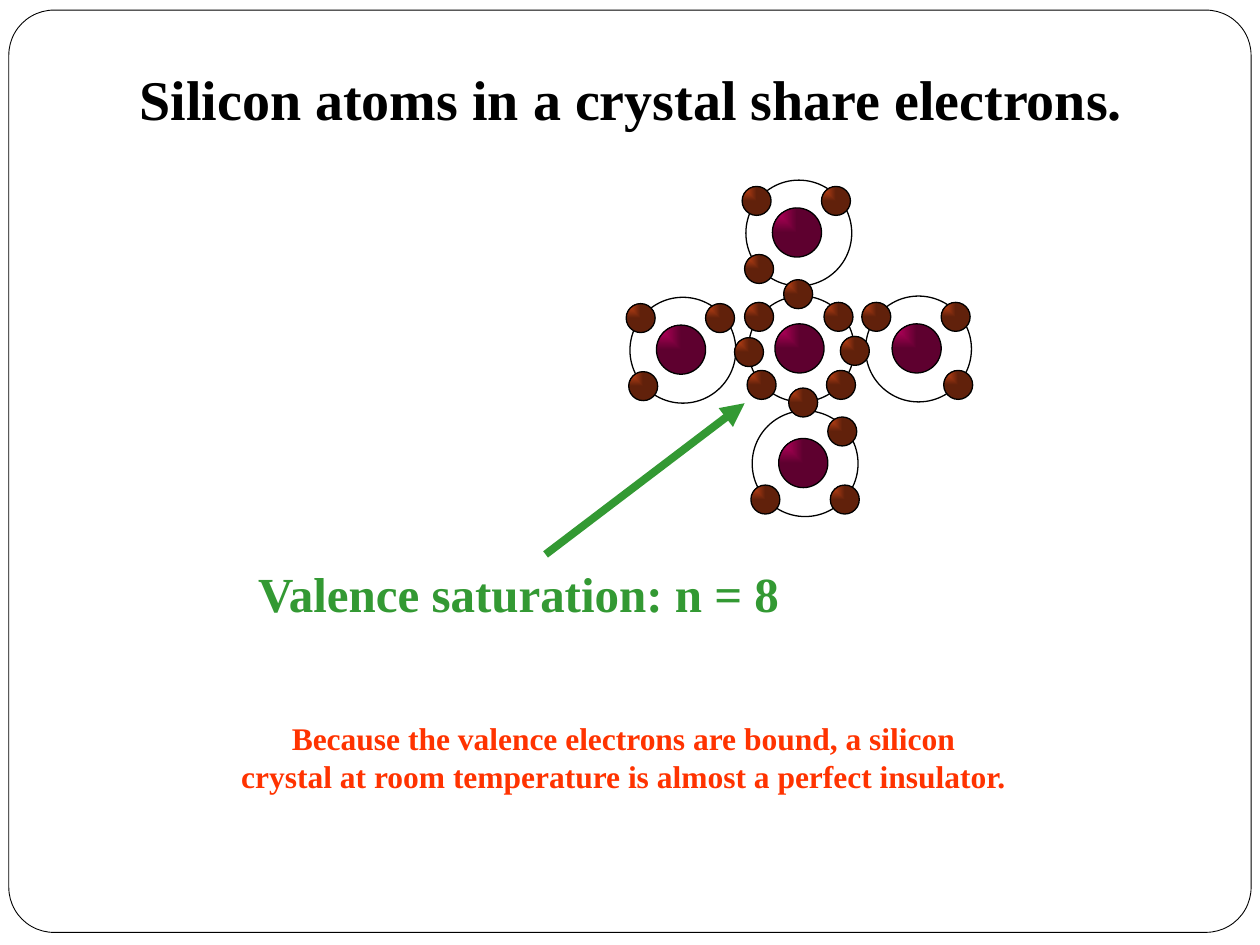
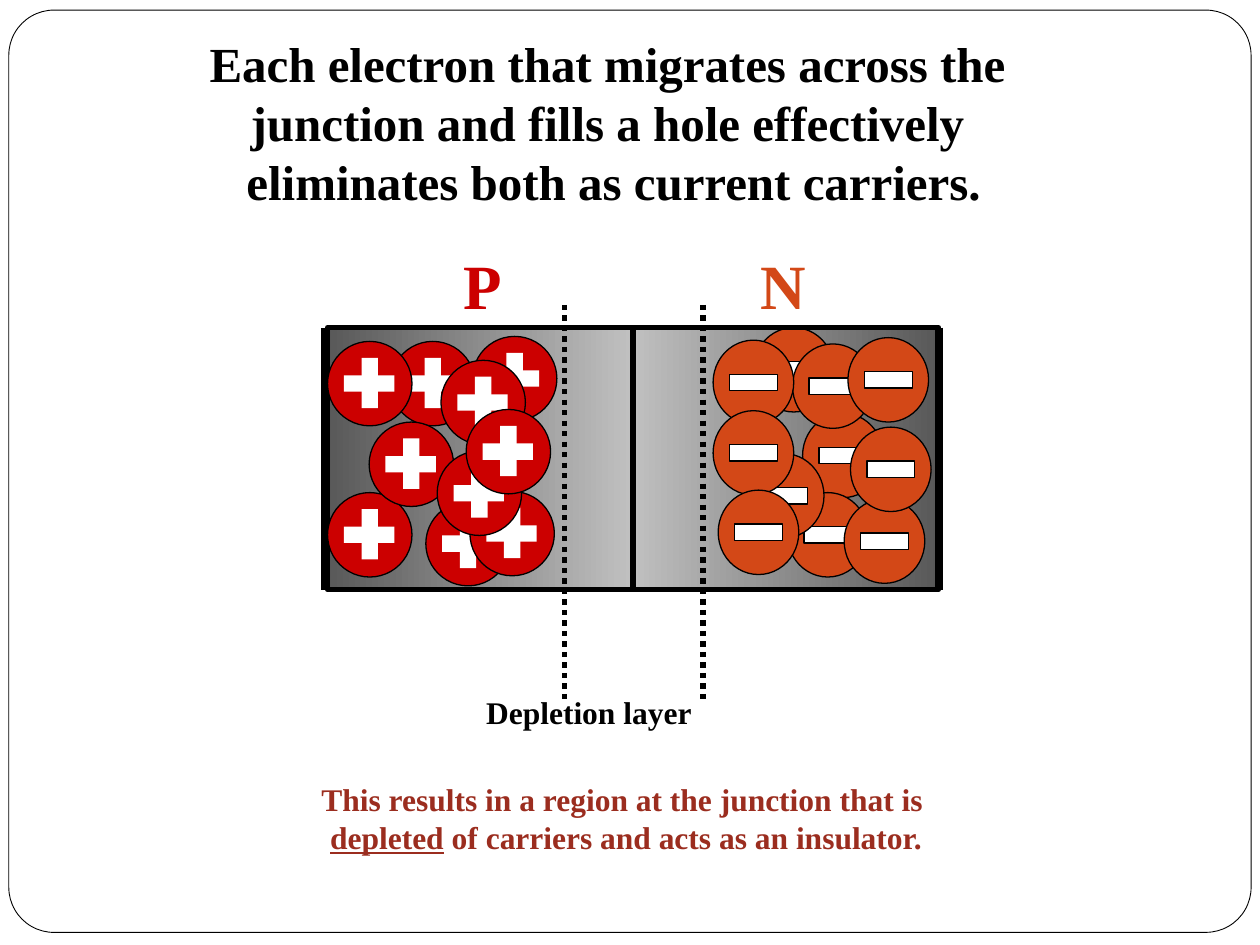
"""Two slides on silicon bonds and the depletion layer of a P-N junction."""
from pptx import Presentation
from pptx.dml.color import RGBColor
from pptx.enum.dml import MSO_LINE
from pptx.enum.shapes import MSO_CONNECTOR, MSO_SHAPE
from pptx.enum.text import MSO_ANCHOR, MSO_AUTO_SIZE, PP_ALIGN
from pptx.oxml import parse_xml
from pptx.oxml.ns import nsdecls, qn
from pptx.util import Inches, Pt
from lxml.etree import SubElement

BLACK = RGBColor(0x00, 0x00, 0x00)
WHITE = RGBColor(0xFF, 0xFF, 0xFF)
GREEN = RGBColor(0x33, 0x99, 0x33)
ORANGE = RGBColor(0xFF, 0x33, 0x00)
RUST = RGBColor(0xD3, 0x48, 0x17)
BROWN = RGBColor(0x61, 0x21, 0x0B)
PINK = RGBColor(0xCC, 0x00, 0x66)
PLUM = RGBColor(0x5E, 0x00, 0x2F)
RED = RGBColor(0xCC, 0x00, 0x00)
BRICK = RGBColor(0x9B, 0x2D, 0x1F)
SILVER = RGBColor(0xC0, 0xC0, 0xC0)
GRAY = RGBColor(0x58, 0x58, 0x58)
FONT = "Times New Roman"
BALL = '<a:path path="rect"><a:fillToRect r="100000" b="100000"/></a:path>'
FLAT = '<a:lin ang="0" scaled="1"/>'


def write(slide, text, box, size, color, center=True, middle=False):
    """Add bold text, one paragraph a line; words between underscores are underlined."""
    frame = slide.shapes.add_textbox(*map(Inches, box)).text_frame
    frame.word_wrap = False
    frame.auto_size = MSO_AUTO_SIZE.SHAPE_TO_FIT_TEXT
    frame.vertical_anchor = MSO_ANCHOR.MIDDLE if middle else MSO_ANCHOR.TOP
    for row, line in enumerate(text.split("\n")):
        para = frame.add_paragraph() if row else frame.paragraphs[0]
        para.alignment = PP_ALIGN.CENTER if center else PP_ALIGN.LEFT
        for part, words in enumerate(line.split("_")):
            if words:
                run = para.add_run()
                run.text = words
                run.font.name, run.font.size = FONT, Pt(size)
                run.font.bold = True
                run.font.underline = True if part % 2 else None
                run.font.color.rgb = color


def draw(slide, kind, box, fill=None, width=0.75, blend=FLAT):
    """Add a shape with a plain fill, a list of blended colors, or no fill."""
    shape = slide.shapes.add_shape(kind, *map(Inches, box))
    shape.shadow.inherit = False
    if isinstance(fill, list):
        step = 100000 // (len(fill) - 1)
        stops = "".join(f'<a:gs pos="{i * step}"><a:srgbClr val="{c}"/></a:gs>'
                        for i, c in enumerate(fill))
        shape._element.spPr.insert(2, parse_xml(
            f'<a:gradFill {nsdecls("a")} rotWithShape="0">'
            f'<a:gsLst>{stops}</a:gsLst>{blend}</a:gradFill>'))
    elif fill is None:
        shape.fill.background()
    else:
        shape.fill.solid()
        shape.fill.fore_color.rgb = fill
    if width:
        shape.line.color.rgb = BLACK
        shape.line.width = Pt(width)
    else:
        shape.line.fill.background()
    return shape


deck = Presentation()
deck.slide_width, deck.slide_height = Inches(10), Inches(7.5)
bond, layer = [deck.slides.add_slide(deck.slide_layouts[6]) for _ in range(2)]
for slide in (bond, layer):
    border = draw(slide, MSO_SHAPE.ROUNDED_RECTANGLE, (0.07, 0.08, 9.86, 7.32), WHITE, 0.5)
    border.adjustments[0] = 0.049

NW, SW, NE, SE = (-0.03, 0.05), (-0.01, 0.59), (0.6, 0.05), (0.62, 0.59)
atoms = [
    (5.94, 2.35, (NW, SW, NE, SE)),
    (6.87, 2.35, (NW, (-0.2, 0.32), NE, SE)),
    (5, 2.36, (NW, SW, NE, (0.83, 0.32))),
    (5.97, 3.26, ((0.29, -0.18), SW, NE, SE)),
    (5.92, 1.43, (NW, SW, NE, (0.3, 0.79))),
]
for x, y, spots in atoms:
    draw(bond, MSO_SHAPE.OVAL, (x + 0.21, y + 0.22, 0.39, 0.39), [PINK, PLUM], blend=BALL)
    draw(bond, MSO_SHAPE.OVAL, (x, y, 0.84, 0.84))
    for dx, dy in spots:
        draw(bond, MSO_SHAPE.OVAL, (x + dx, y + dy, 0.23, 0.23), [RUST, BROWN], blend=BALL)

write(bond, "Silicon atoms in a crystal share electrons.", (1.01, 0.46, 8.02, 0.63),
      32, BLACK, center=False)
write(bond, "Valence saturation: n = 8", (1.95, 4.42, 4.38, 0.57), 28, GREEN, center=False)
write(bond, "Because the valence electrons are bound, a silicon\n"
      "crystal at room temperature is almost a perfect insulator.",
      (0.78, 5.66, 8.34, 0.9), 18, ORANGE)

TOP, TALL = 2.6, 2.08
early = [(6.37, 3.28), (5.98, 2.6), (6.25, 3.91), (6.29, 2.73),
         (5.66, 2.7), (6.73, 2.68), (6.7, 3.96)]
late = [(5.9, 3.6), (5.66, 3.26), (5.7, 3.89), (6.75, 3.39)]
holes = [(3.1, 2.71), (2.6, 2.71), (3.75, 2.67), (2.6, 3.91), (2.93, 3.35),
         (3.38, 3.98), (3.5, 2.86), (3.73, 3.9), (3.47, 3.58), (3.7, 3.25)]

draw(layer, MSO_SHAPE.RECTANGLE, (2.58, TOP, 4.87, TALL), [GRAY, SILVER, GRAY], 0)
for group in (early, late):
    for x, y in group:
        draw(layer, MSO_SHAPE.OVAL, (x, y, 0.64, 0.67), RUST)
        draw(layer, MSO_SHAPE.RECTANGLE, (x + 0.13, y + 0.27, 0.38, 0.13), WHITE)
    if group is early:
        for x in (2.6, 5.02):
            draw(layer, MSO_SHAPE.RECTANGLE, (x, TOP, 2.43, TALL), width=3)

lines = [
    (bond, (4.33, 4.4, 5.91, 3.2), GREEN, 4.5),
    (layer, (2.58, TOP, 2.58, TOP + TALL), BLACK, 4.5),
    (layer, (7.45, TOP, 7.45, TOP + TALL), BLACK, 4.5),
    (layer, (4.48, 2.42, 4.48, 5.57), BLACK, 3),
    (layer, (5.58, 2.42, 5.58, 5.57), BLACK, 3),
]
for slide, ends, color, width in lines:
    line = slide.shapes.add_connector(MSO_CONNECTOR.STRAIGHT, *map(Inches, ends))
    line.line.color.rgb, line.line.width = color, Pt(width)
    if width == 3:
        line.line.dash_style = MSO_LINE.ROUND_DOT
    if slide is bond:
        SubElement(line.line._get_or_add_ln(), qn("a:tailEnd"), type="triangle")
    SubElement(line._element.spPr, qn("a:effectLst"))

for x, y in holes:
    draw(layer, MSO_SHAPE.OVAL, (x, y, 0.67, 0.67), RED)
    draw(layer, MSO_SHAPE.RECTANGLE, (x + 0.13, y + 0.27, 0.4, 0.13), WHITE, 0)
    draw(layer, MSO_SHAPE.RECTANGLE, (x + 0.27, y + 0.13, 0.13, 0.4), WHITE, 0)

write(layer, "P", (3.58, 1.91, 0.51, 0.7), 36, RED, middle=True)
write(layer, "N", (5.94, 1.91, 0.56, 0.7), 36, RUST, middle=True)
write(layer, "Each electron that migrates across the \n"
      "junction and fills a hole effectively \n"
      "eliminates both as current carriers.", (1.55, 0.22, 6.64, 1.5), 28, BLACK)
write(layer, "This results in a region at the junction that is \n"
      "_depleted_ of carriers and acts as an insulator.", (1.64, 6.14, 6.66, 0.9), 18, BRICK)
write(layer, "Depletion layer", (3.76, 5.45, 2.38, 0.5), 18, BLACK, center=False)

deck.save("out.pptx")
